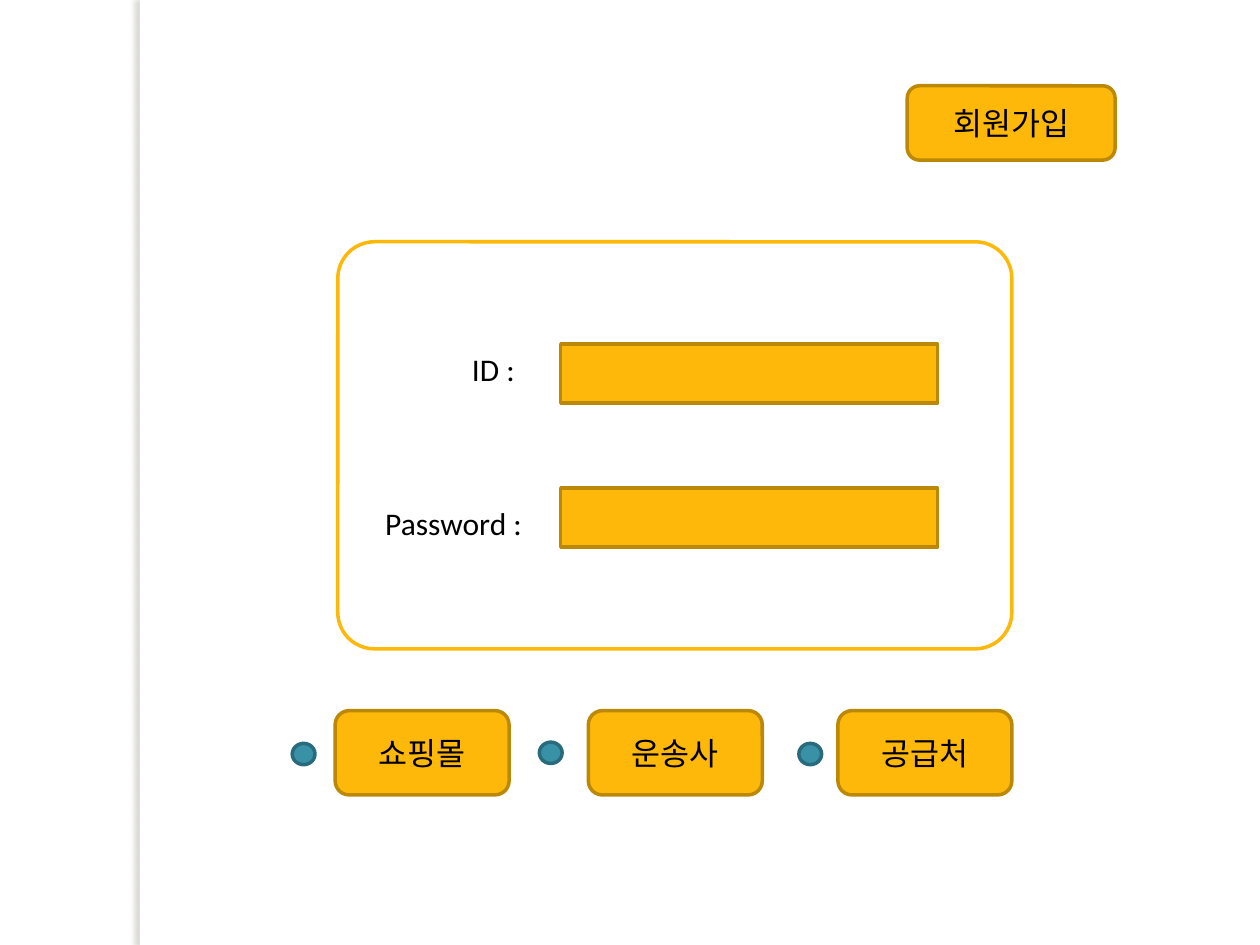
from lxml import etree
from pptx import Presentation
from pptx.dml.color import RGBColor
from pptx.enum.shapes import MSO_SHAPE
from pptx.enum.text import MSO_ANCHOR, PP_ALIGN
from pptx.oxml.ns import qn
from pptx.util import Pt

RECTANGLE = MSO_SHAPE.RECTANGLE
ROUNDED = MSO_SHAPE.ROUNDED_RECTANGLE
DOT = MSO_SHAPE.FLOWCHART_CONNECTOR
CENTER, RIGHT = PP_ALIGN.CENTER, PP_ALIGN.RIGHT
MIDDLE = MSO_ANCHOR.MIDDLE

WHITE = RGBColor(0xFF, 0xFF, 0xFF)
BLACK = RGBColor(0, 0, 0)
AMBER = RGBColor(0xFE, 0xB8, 0x0A)
DARK_AMBER = RGBColor(0xBC, 0x88, 0x07)
TEAL = RGBColor(0x38, 0x91, 0xA7)
DARK_TEAL = RGBColor(0x29, 0x6B, 0x7C)
FONT = "Calibri"

PARTNERS = [
    ("쇼핑몰", 191.5, (167, 424.8)),
    ("운송사", 336.2, (308.2, 424.1)),
    ("공급처", 478.8, (456.5, 424.8)),
]
PARTNER_TOP, PARTNER_SIZE = 406.1, (99.4, 48.2)
DOT_SIZE = (13, 12.2)
SIGN_UP = ("회원가입", (518.4, 49, 118.8, 42.5))
PANEL = (193, 138.2, 385.2, 232.6)
FIELD_LABELS = ["ID : ", "Password :"]
LABEL_BOX = (212.4, 196.6, 92.9, 116.6)
LABEL_GAP = 66
FIELD_LEFT, FIELD_TOP, FIELD_PITCH = 320.4, 196.6, 82.3
FIELD_SIZE = (215.3, 33.8)

presentation = Presentation()
presentation.slide_width, presentation.slide_height = Pt(720), Pt(540)
slide = presentation.slides.add_slide(presentation.slide_layouts[6])


def format_paragraph(paragraph, alignment):
    paragraph.alignment = alignment
    for run in paragraph.runs:
        run.font.name = FONT
        run.font.size = Pt(18)
        run.font.color.rgb = BLACK


def add_box(kind, box, fill, line=None, text=None):
    shape = slide.shapes.add_shape(kind, *map(Pt, box))
    shape.shadow.inherit = False
    shape.fill.solid()
    shape.fill.fore_color.rgb = fill
    if line is None:
        shape.line.fill.background()
    else:
        shape.line.color.rgb = line
        shape.line.width = Pt(2)
    if text:
        shape.text_frame.text = text
        shape.text_frame.vertical_anchor = MIDDLE
        format_paragraph(shape.text_frame.paragraphs[0], CENTER)
    return shape


def add_left_shadow(shape):
    effects = shape.element.spPr.find(qn("a:effectLst"))
    shadow = etree.SubElement(
        effects, qn("a:outerShdw"), blurRad=str(Pt(3)), dist=str(Pt(3)),
        dir="10800000", algn="ctr", rotWithShape="0")
    color = etree.SubElement(shadow, qn("a:srgbClr"), val="736F63")
    etree.SubElement(color, qn("a:alpha"), val="25000")


add_left_shadow(add_box(RECTANGLE, (79.9, 0, 5.8, 540), WHITE))

for name, left, dot_position in PARTNERS:
    add_box(ROUNDED, (left, PARTNER_TOP, *PARTNER_SIZE), AMBER, DARK_AMBER, name)
    add_box(DOT, (*dot_position, *DOT_SIZE), TEAL, DARK_TEAL)

sign_up_text, sign_up_box = SIGN_UP
add_box(ROUNDED, sign_up_box, AMBER, DARK_AMBER, sign_up_text)

panel = add_box(ROUNDED, PANEL, WHITE, AMBER)
panel.adjustments[0] = 0.09

label_frame = slide.shapes.add_textbox(*map(Pt, LABEL_BOX)).text_frame
label_frame.word_wrap = True
for index, label in enumerate(FIELD_LABELS):
    paragraph = label_frame.add_paragraph() if index else label_frame.paragraphs[0]
    paragraph.text = label
    paragraph.space_before = Pt(index * LABEL_GAP)
    format_paragraph(paragraph, RIGHT)
    field_top = FIELD_TOP + index * FIELD_PITCH
    add_box(RECTANGLE, (FIELD_LEFT, field_top, *FIELD_SIZE), AMBER, DARK_AMBER)

presentation.save("out.pptx")
